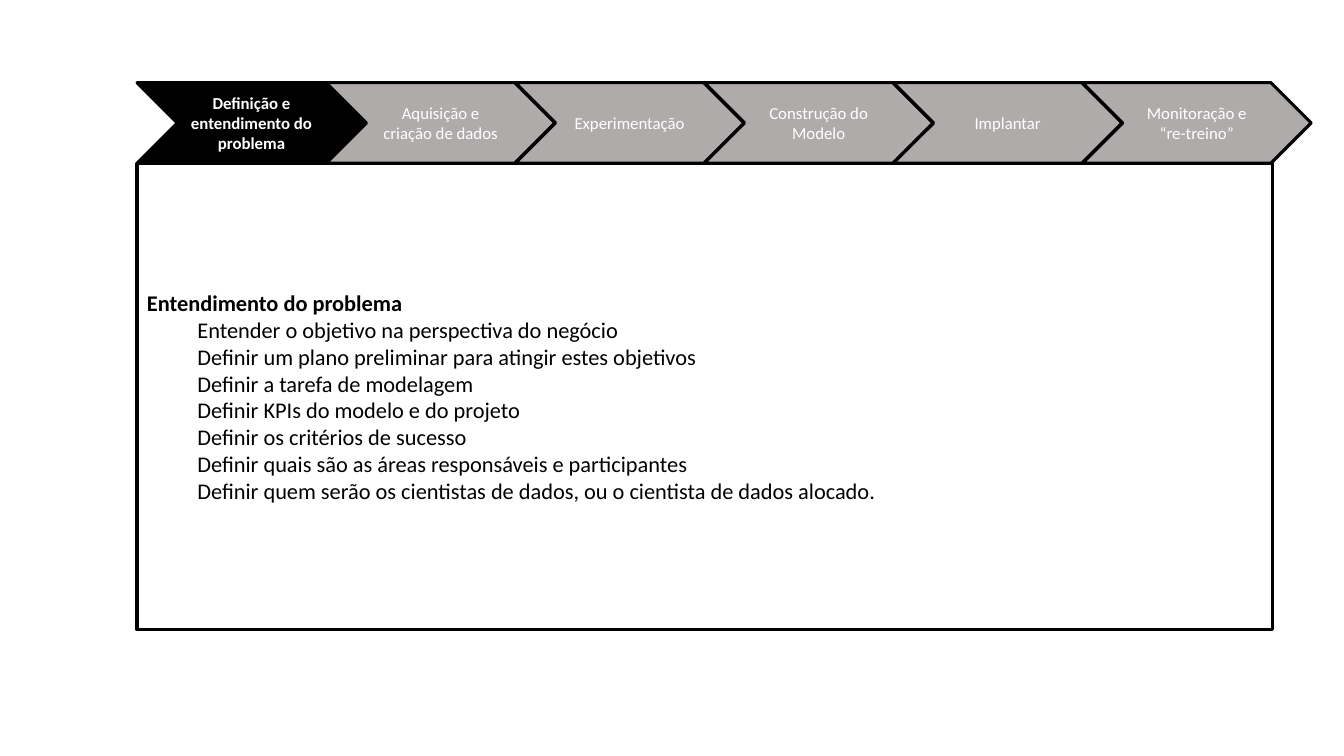
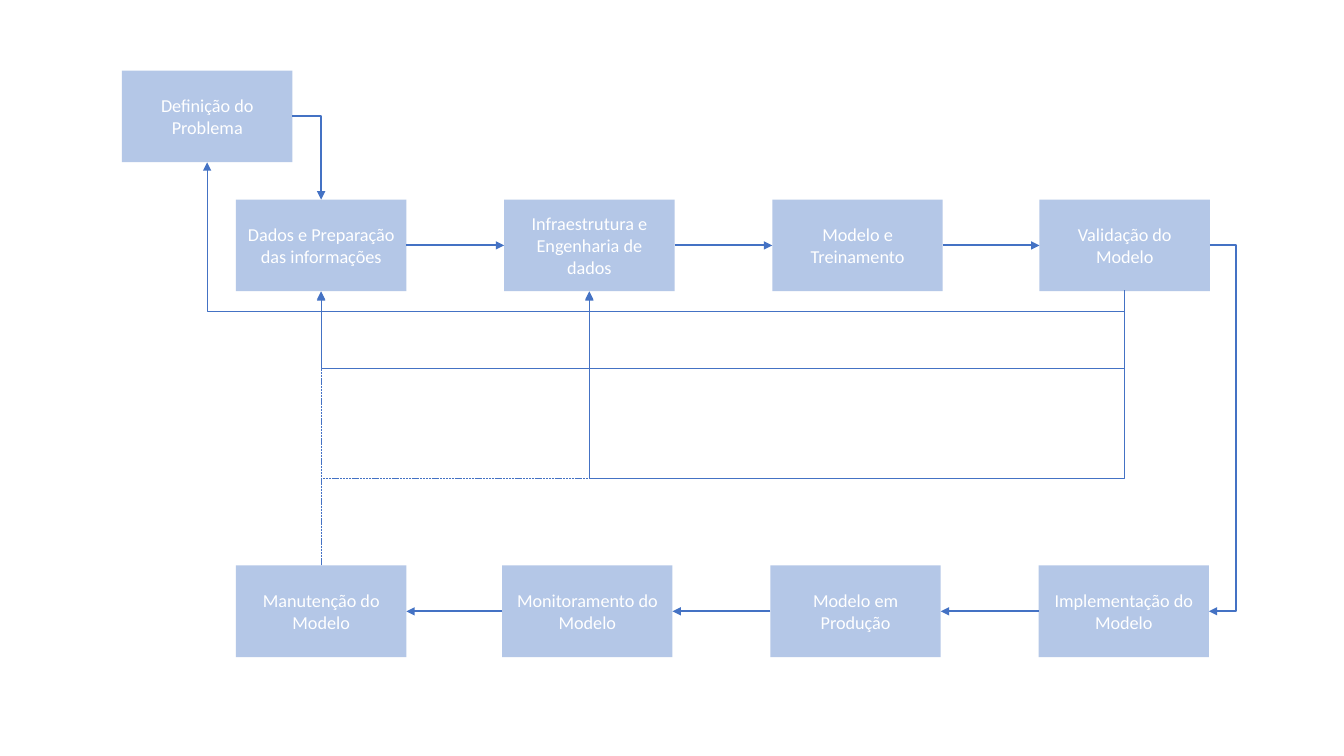
from pptx import Presentation
from pptx.dml.color import RGBColor
from pptx.enum.dml import MSO_LINE
from pptx.enum.shapes import MSO_CONNECTOR, MSO_SHAPE
from pptx.enum.text import MSO_ANCHOR, PP_ALIGN
from pptx.oxml import parse_xml
from pptx.oxml.ns import nsdecls, qn
from pptx.util import Inches, Pt

CHEVRON, RECTANGLE = MSO_SHAPE.CHEVRON, MSO_SHAPE.RECTANGLE
STRAIGHT, ELBOW = MSO_CONNECTOR.STRAIGHT, MSO_CONNECTOR.ELBOW
LEFT, CENTER, MIDDLE = PP_ALIGN.LEFT, PP_ALIGN.CENTER, MSO_ANCHOR.MIDDLE
SHORT_DASH = MSO_LINE.SQUARE_DOT
TOP_SIDE, LEFT_SIDE, BOTTOM_SIDE, RIGHT_SIDE = range(4)

FONT = "Calibri"
COLORS = {
    "black": "000000",
    "white": "FFFFFF",
    "inactive": "AFABAB",
    "box": "B4C7E7",
    "arrow": "4472C4",
}
THICK, THIN = 1.5, 0.5
NUDGE = Inches(0.01)

STAGES = [
    "Definição e entendimento do problema",
    "Aquisição e criação de dados",
    "Experimentação",
    "Construção do Modelo",
    "Implantar",
    "Monitoração e “re-treino”",
]
PANEL_HEADING = "Entendimento do problema"
PANEL_ITEMS = [
    "Entender o objetivo na perspectiva do negócio",
    "Definir um plano preliminar para atingir estes objetivos",
    "Definir a tarefa de modelagem",
    "Definir KPIs do modelo e do projeto",
    "Definir os critérios de sucesso",
    "Definir quais são as áreas responsáveis e participantes",
    "Definir quem serão os cientistas de dados, ou o cientista de dados alocado.",
]
BUILD_STEPS = [
    (2.34, "Dados e Preparação das informações"),
    (5, "Infraestrutura e Engenharia de dados"),
    (7.66, "Modelo e Treinamento"),
    (10.31, "Validação do Modelo"),
]
OPERATION_STEPS = [
    (10.3, "Implementação do Modelo"),
    (7.64, "Modelo em Produção"),
    (4.98, "Monitoramento do Modelo"),
    (2.34, "Manutenção do Modelo"),
]


def color(name):
    """Return the named colour."""
    return RGBColor.from_string(COLORS[name])


def format_paragraph(paragraph, size, font_color, bold=False, align=CENTER):
    """Apply alignment and font to a paragraph and its runs."""
    paragraph.alignment = align
    for run in paragraph.runs:
        run.font.name = FONT
        run.font.size = Pt(size)
        run.font.bold = bold
        run.font.color.rgb = color(font_color)


def add_block(slide, kind, position, fill, line=None):
    """Add a filled shape with an optional outline."""
    shape = slide.shapes.add_shape(kind, *map(Inches, position))
    shape.shadow.inherit = False
    shape.fill.solid()
    shape.fill.fore_color.rgb = color(fill)
    if line:
        shape.line.color.rgb = color(line)
        shape.line.width = Pt(2.25)
    else:
        shape.line.fill.background()
    shape.text_frame.word_wrap = True
    shape.text_frame.vertical_anchor = MIDDLE
    return shape


def add_stage(slide, index, text, active):
    """Add one chevron of the process band."""
    fill = "black" if active else "inactive"
    position = (1.36 + index * 1.875, 0.82, 2.27, 0.8)
    shape = add_block(slide, CHEVRON, position, fill, "black")
    shape.text_frame.text = text
    format_paragraph(shape.text_frame.paragraphs[0], 12, "white", active)


def add_panel(slide, heading, items):
    """Add the outlined panel with a heading and indented items."""
    panel = add_block(slide, RECTANGLE, (1.36, 1.62, 11.26, 4.63), "white", "black")
    frame = panel.text_frame
    frame.text = heading
    format_paragraph(frame.paragraphs[0], 16, "black", True, LEFT)
    for item in items:
        paragraph = frame.add_paragraph()
        paragraph.text = item
        paragraph.level = 1
        properties = paragraph._p.get_or_add_pPr()
        properties.set("marL", str(Inches(0.5)))
        properties.set("indent", "0")
        format_paragraph(paragraph, 16, "black", align=LEFT)


def add_step(slide, left, top, text):
    """Add one box of the flow."""
    shape = add_block(slide, RECTANGLE, (left, top, 1.69, 0.91), "box")
    shape.text_frame.text = text
    format_paragraph(shape.text_frame.paragraphs[0], 13, "white")
    return shape


def style_arrow(connector, width, dash=None):
    """Format a connector as an arrow without shadow."""
    connector.line.color.rgb = color("arrow")
    connector.line.width = Pt(width)
    if dash:
        connector.line.dash_style = dash
    outline = connector.line._get_or_add_ln()
    outline.append(parse_xml(f'<a:tailEnd {nsdecls("a")} type="triangle"/>'))
    connector._element.spPr.append(parse_xml(f'<a:effectLst {nsdecls("a")}/>'))


def add_arrow(slide, start, end, width=THICK, dash=None):
    """Join two (box, side) ends with a straight arrow."""
    connector = slide.shapes.add_connector(STRAIGHT, 0, 0, 0, 0)
    connector.begin_connect(*start)
    connector.end_connect(*end)
    style_arrow(connector, width, dash)


def side_point(box, side):
    """Return the middle of a side of a box."""
    center_x, center_y = box.left + box.width // 2, box.top + box.height // 2
    return {
        TOP_SIDE: (center_x, box.top),
        LEFT_SIDE: (box.left, center_y),
        BOTTOM_SIDE: (center_x, box.top + box.height),
        RIGHT_SIDE: (box.left + box.width, center_y),
    }[side]


def add_elbow(slide, start, end, turn=None, width=THICK, dash=None):
    """Join two (box, side) ends with a bent arrow that turns at a given coordinate."""
    (x1, y1), (x2, y2) = side_point(*start), side_point(*end)
    vertical = start[1] in (TOP_SIDE, BOTTOM_SIDE)
    connector = slide.shapes.add_connector(ELBOW, x1, y1, x2, y2)
    if vertical and y1 == y2:
        y1, y2 = y1 - NUDGE, y2 + NUDGE
    else:
        connector.begin_connect(*start)
        connector.end_connect(*end)
    across, down = abs(x2 - x1), abs(y2 - y1)
    flip_h, flip_v = x2 < x1, y2 < y1
    if vertical:
        across, down = down, across
        flip_h, flip_v = y2 < y1, x2 > x1
    connector.width, connector.height = across, down
    connector.left = (x1 + x2 - across) // 2
    connector.top = (y1 + y2 - down) // 2
    properties = connector._element.spPr
    transform = properties.find(qn("a:xfrm"))
    transform.set("rot", "5400000" if vertical else "0")
    transform.set("flipH", str(int(flip_h)))
    transform.set("flipV", str(int(flip_v)))
    geometry = properties.find(qn("a:prstGeom"))
    if turn is None:
        geometry.set("prst", "bentConnector2")
    else:
        first, last = (y1, y2) if vertical else (x1, x2)
        ratio = round((Inches(turn) - first) / (last - first) * 100000)
        guide = f'<a:gd {nsdecls("a")} name="adj1" fmla="val {ratio}"/>'
        geometry.find(qn("a:avLst")).append(parse_xml(guide))
    style_arrow(connector, width, dash)


def build_stage_slide(slide):
    """Build the process band with the panel of its first stage."""
    for index, text in enumerate(STAGES):
        add_stage(slide, index, text, index == 0)
    add_panel(slide, PANEL_HEADING, PANEL_ITEMS)


def build_flow_slide(slide):
    """Build the model life cycle flow."""
    problem = add_step(slide, 1.21, 0.7, "Definição do Problema")
    build = [add_step(slide, left, 1.98, text) for left, text in BUILD_STEPS]
    operation = [add_step(slide, left, 5.61, text) for left, text in OPERATION_STEPS]
    data, infrastructure, _, validation = build
    deployment, maintenance = operation[0], operation[-1]

    add_elbow(slide, (problem, RIGHT_SIDE), (data, TOP_SIDE))
    for before, after in zip(build, build[1:]):
        add_arrow(slide, (before, RIGHT_SIDE), (after, LEFT_SIDE))
    add_elbow(slide, (validation, RIGHT_SIDE), (deployment, RIGHT_SIDE), 12.26)
    for before, after in zip(operation, operation[1:]):
        add_arrow(slide, (before, LEFT_SIDE), (after, RIGHT_SIDE))

    upkeep = (maintenance, TOP_SIDE)
    add_arrow(slide, upkeep, (data, BOTTOM_SIDE), THIN, SHORT_DASH)
    add_elbow(slide, upkeep, (infrastructure, BOTTOM_SIDE), 4.75, THIN, SHORT_DASH)
    for target, turn in ((problem, 3.09), (data, 3.65), (infrastructure, 4.74)):
        add_elbow(slide, (validation, BOTTOM_SIDE), (target, BOTTOM_SIDE), turn, THIN)


def main():
    """Build and save the presentation."""
    presentation = Presentation()
    presentation.slide_width = Inches(13.33)
    presentation.slide_height = Inches(7.5)
    blank_layout = presentation.slide_layouts[6]
    for build_slide in (build_stage_slide, build_flow_slide):
        build_slide(presentation.slides.add_slide(blank_layout))
    presentation.save("out.pptx")


if __name__ == "__main__":
    main()
